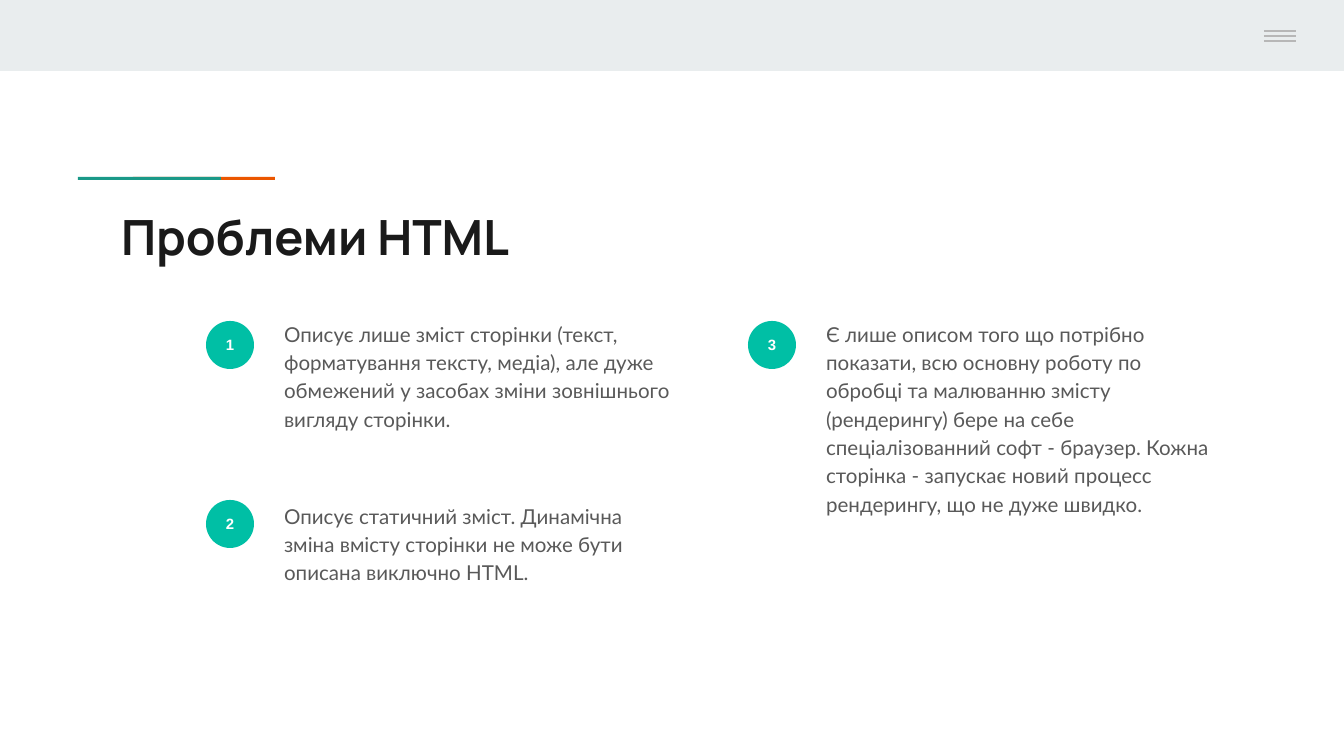
from pptx import Presentation
from pptx.dml.color import RGBColor
from pptx.enum.shapes import MSO_CONNECTOR, MSO_SHAPE
from pptx.enum.text import MSO_ANCHOR, MSO_AUTO_SIZE, PP_ALIGN
from pptx.oxml.ns import qn
from pptx.util import Emu, Pt
from lxml.etree import SubElement

PX_PER_INCH = 134.4
COLORS = {
    "band": "E9EDEE",
    "orange": "EB5600",
    "green": "1A9988",
    "menu": "B7B7B7",
    "title": "1A1A1A",
    "badge": "00BFA5",
    "number": "FFFFFF",
    "body": "595959",
}
INSET = 13
BADGE_SIZE = 48
COLUMNS = (206, 748)
ROWS = ((321, 305), (500, 487))
PROBLEMS = (
    (0, 0, "Описує лише зміст сторінки (текст, форматування тексту, медіа), "
           "але дуже обмежений у засобах зміни зовнішнього вигляду сторінки."),
    (0, 1, "Описує статичний зміст. Динамічна зміна вмісту сторінки "
           "не може бути описана виключно HTML."),
    (1, 0, "Є лише описом того що потрібно показати, всю основну роботу по "
           "обробці та малюванню змісту (рендерингу) бере на себе "
           "спеціалізованний софт - браузер. Кожна сторінка - запускає "
           "новий процесс рендерингу, що не дуже швидко."),
)


def px(length):
    return Emu(round(length * 914400 / PX_PER_INCH))


def color(name):
    return RGBColor.from_string(COLORS[name])


def add_filled(slide, kind, fill, *box):
    shape = slide.shapes.add_shape(kind, *map(px, box))
    shape.shadow.inherit = False
    shape.fill.solid()
    shape.fill.fore_color.rgb = color(fill)
    shape.line.fill.background()
    return shape


def write(shape, text, font_name, size, ink, bold=False,
          anchor=MSO_ANCHOR.TOP, align=PP_ALIGN.LEFT):
    frame = shape.text_frame
    frame.word_wrap = True
    frame.auto_size = MSO_AUTO_SIZE.NONE
    frame.vertical_anchor = anchor
    frame.margin_left = frame.margin_right = px(INSET)
    frame.margin_top = frame.margin_bottom = px(INSET)
    frame.text = text
    paragraph = frame.paragraphs[0]
    paragraph.alignment = align
    paragraph.font.name = font_name
    paragraph.font.size = Pt(size)
    paragraph.font.bold = bold
    paragraph.font.color.rgb = color(ink)
    return paragraph


def add_menu_icon(slide):
    for y in range(31, 42, 5):
        bar = slide.shapes.add_connector(
            MSO_CONNECTOR.STRAIGHT, px(1264), px(y), px(1296), px(y))
        bar.line.color.rgb = color("menu")
        bar.line.width = Pt(0.75)
        SubElement(bar.element.spPr, qn("a:effectLst"))


def add_title(slide, text):
    title = slide.shapes.title
    title.left, title.top, title.width, title.height = map(
        px, (108, 194, 1130, 79))
    write(title, text, "Manrope", 26, "title", bold=True)


def add_problem(slide, number, column, row, text):
    left = COLUMNS[column]
    badge_top, text_top = ROWS[row]
    badge = add_filled(slide, MSO_SHAPE.OVAL, "badge",
                       left, badge_top, BADGE_SIZE, BADGE_SIZE)
    write(badge, str(number), "Arial", 8, "number", bold=True,
          anchor=MSO_ANCHOR.MIDDLE, align=PP_ALIGN.CENTER)
    description = slide.shapes.add_textbox(
        *map(px, (left + 65, text_top, 417, 155)))
    paragraph = write(description, text, "Lato", 11, "body")
    paragraph.line_spacing = 1.15
    paragraph.space_after = Pt(16)


def main():
    presentation = Presentation()
    presentation.slide_width = px(1344)
    presentation.slide_height = px(756)
    slide = presentation.slides.add_slide(presentation.slide_layouts[5])
    add_filled(slide, MSO_SHAPE.RECTANGLE, "band", 0, 0, 1344, 71)
    add_filled(slide, MSO_SHAPE.RECTANGLE, "orange", 133, 177, 142, 3)
    add_filled(slide, MSO_SHAPE.RECTANGLE, "green", 78, 177, 143, 3)
    add_filled(slide, MSO_SHAPE.RECTANGLE, "band", 1218, 0, 126, 67)
    add_menu_icon(slide)
    add_title(slide, "Проблеми HTML")
    for number, (column, row, text) in enumerate(PROBLEMS, start=1):
        add_problem(slide, number, column, row, text)
    presentation.save("out.pptx")


if __name__ == "__main__":
    main()
